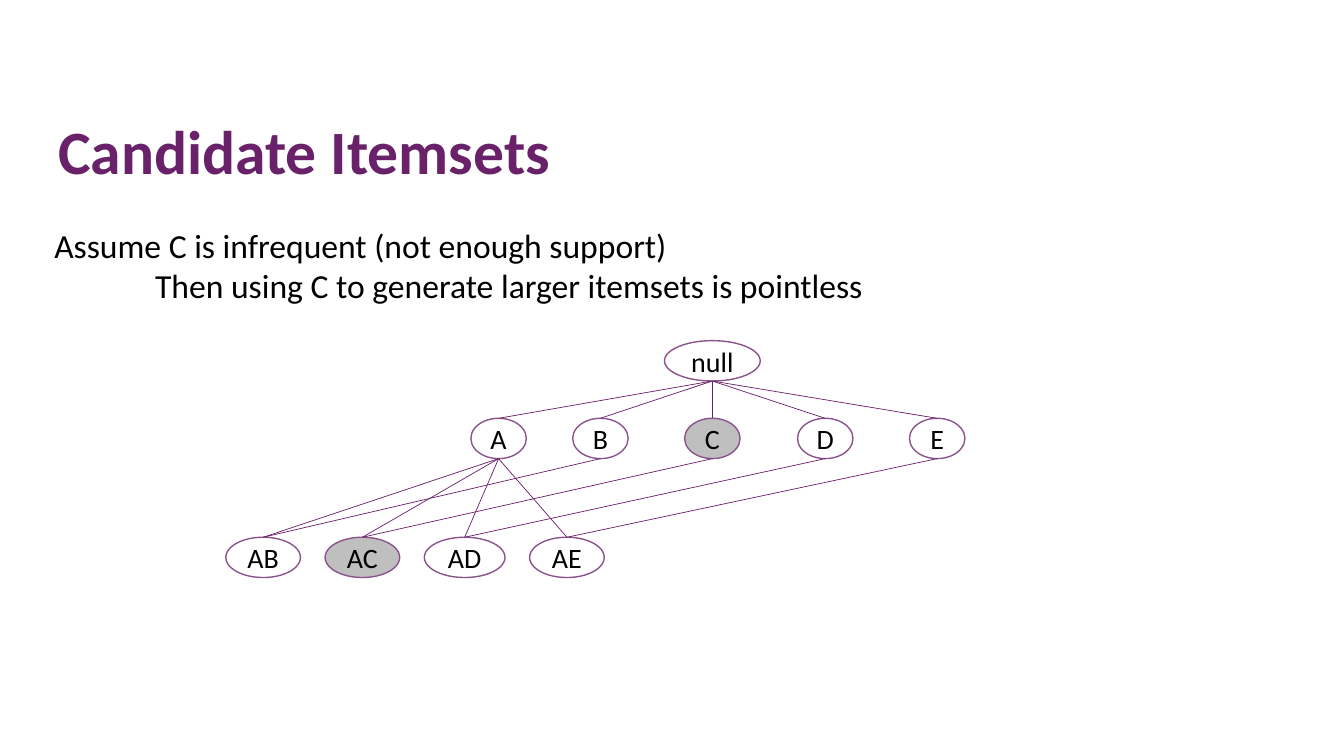
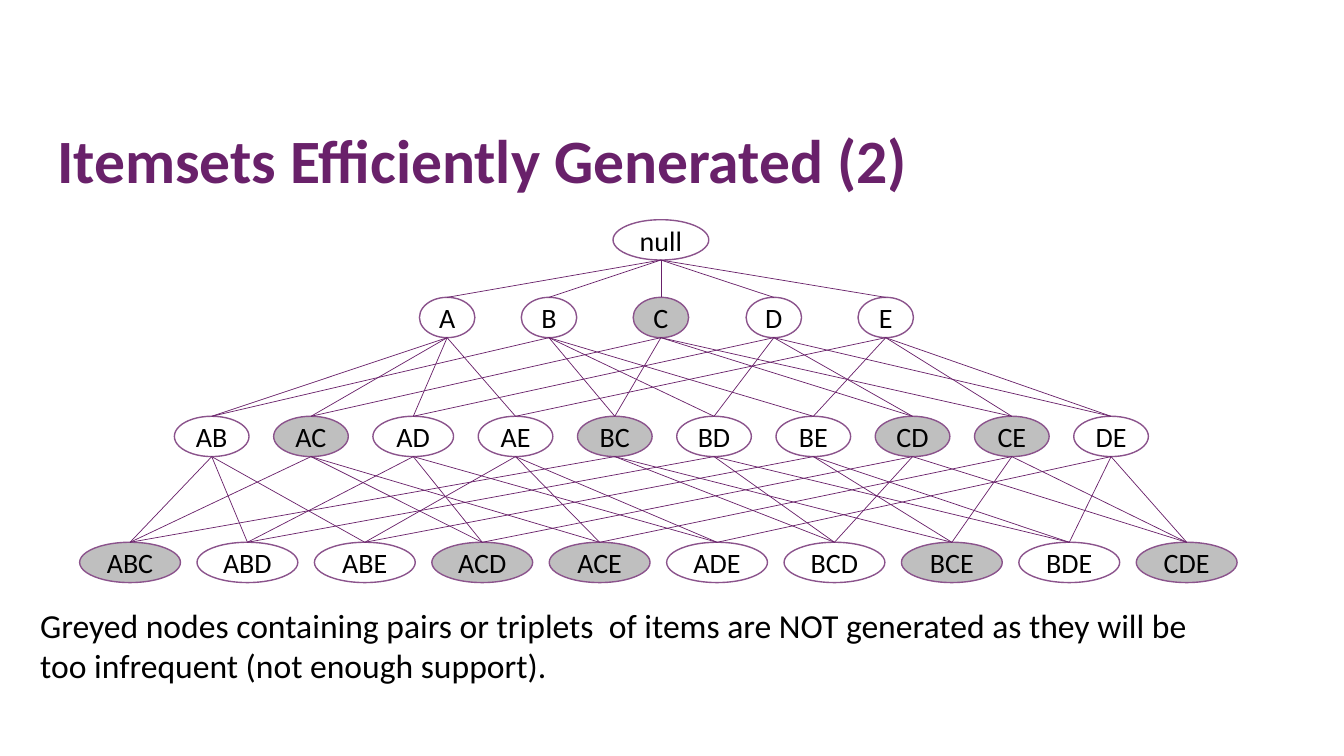
from itertools import combinations

from lxml.etree import SubElement
from pptx import Presentation
from pptx.dml.color import RGBColor
from pptx.enum.shapes import MSO_CONNECTOR, MSO_SHAPE
from pptx.enum.text import MSO_ANCHOR, PP_ALIGN
from pptx.oxml.ns import qn
from pptx.util import Inches, Pt

# Shared style
FONT = "Calibri"
PURPLE, OUTLINE, GREY, BLACK = "69216A", "8B538C", "BFBFBF", "000000"
NODE_HEIGHT = 0.4

# Content: itemsets by size
ITEMS = "ABCDE"
SINGLES, PAIRS, TRIPLES = (
    ["".join(group) for group in combinations(ITEMS, size)] for size in (1, 2, 3))
INFREQUENT = {"C", "AC", "BC", "CD", "CE", "ABC", "ACD", "ACE", "BCE", "CDE"}

# Lattice rows: top edge of each row, then left edges or the row's two ends
ROW_TOPS = {0: 2.18, 1: 2.95, 2: 4.13, 3: 5.38}
NODE_WIDTHS = {0: 0.95, 1: 0.55, 2: 0.74, 3: 1.0}
WIDER_NODES = {"AD": 0.8}
ROOT_LEFT = 6.08
SINGLE_LEFTS = [4.16, 5.17, 6.28, 7.4, 8.51]
PAIR_ENDS = (1.73, 11.39)
TRIPLE_ENDS = (0.79, 12.27)

SLIDES = [
    {
        "title": ("Candidate Itemsets", 0.48, 1.15),
        "sets": SINGLES + PAIRS[:4],
        "shift": (0.51, 1.2),
        "body": ["Assume C is infrequent (not enough support)",
                 "Then using C to generate larger itemsets is pointless"],
        "body_at": (0.44, 2.18, 8.37, 0.91),
        "indents": [0, 1],
    },
    {
        "title": ("Itemsets Efficiently Generated (2)", 0.47, 1.24),
        "sets": SINGLES + PAIRS + TRIPLES,
        "shift": (0, 0),
        "body": ["Greyed nodes containing pairs or triplets  of items are NOT "
                 "generated as they will be too infrequent (not enough support)."],
        "body_at": (0.3, 5.95, 11.82, 0.91),
        "indents": [0],
    },
]


def colour(value):
    return RGBColor.from_string(value)


def write(frame, lines, size=24, ink=BLACK, bold=False, align=PP_ALIGN.LEFT,
          spacing=None, indents=(0,)):
    """Fill a text frame, one paragraph a line."""
    for index, (line, indent) in enumerate(zip(lines, indents)):
        para = frame.paragraphs[0] if index == 0 else frame.add_paragraph()
        para.alignment = align
        if spacing:
            para.line_spacing = spacing
        if indent:
            para._p.get_or_add_pPr().set("marL", str(Inches(indent)))
        span = para.add_run()
        span.text = line
        span.font.name, span.font.size, span.font.bold = FONT, Pt(size), bold
        span.font.color.rgb = colour(ink)


def add_text(page, lines, area, **style):
    box = page.shapes.add_textbox(*(Inches(length) for length in area))
    box.text_frame.word_wrap = True
    write(box.text_frame, lines, **style)


def node_width(name):
    return WIDER_NODES.get(name, NODE_WIDTHS[len(name)])


def spread(names, ends):
    """Left edges of a row of nodes with equal gaps between two ends."""
    widths = [node_width(name) for name in names]
    gap = (ends[1] - ends[0] - sum(widths)) / (len(names) - 1)
    return [ends[0] + sum(widths[:index]) + gap * index
            for index in range(len(names))]


# The empty string stands for the root
LEFTS = {"": ROOT_LEFT,
         **dict(zip(SINGLES, SINGLE_LEFTS)),
         **dict(zip(PAIRS, spread(PAIRS, PAIR_ENDS))),
         **dict(zip(TRIPLES, spread(TRIPLES, TRIPLE_ENDS)))}


def add_node(page, name, shift):
    node = page.shapes.add_shape(
        MSO_SHAPE.OVAL, Inches(LEFTS[name] + shift[0]),
        Inches(ROW_TOPS[len(name)] + shift[1]),
        Inches(node_width(name)), Inches(NODE_HEIGHT))
    node.shadow.inherit = False
    if name in INFREQUENT:
        node.fill.solid()
        node.fill.fore_color.rgb = colour(GREY)
    else:
        node.fill.background()
    node.line.color.rgb = colour(OUTLINE)
    node.line.width = Pt(1)
    frame = node.text_frame
    frame.margin_left = frame.margin_right = frame.margin_top = frame.margin_bottom = 0
    frame.word_wrap = False
    frame.vertical_anchor = MSO_ANCHOR.MIDDLE
    write(frame, [name or "null"], size=20, align=PP_ALIGN.CENTER)
    return node


def add_edge(page, parent, child):
    edge = page.shapes.add_connector(
        MSO_CONNECTOR.STRAIGHT,
        parent.left + parent.width // 2, parent.top + parent.height,
        child.left + child.width // 2, child.top)
    edge.line.color.rgb = colour(PURPLE)
    edge.line.width = Pt(0.5)
    SubElement(edge._element.spPr, qn("a:effectLst"))


def add_lattice(page, names, shift):
    nodes = {name: add_node(page, name, shift) for name in ["", *names]}
    # Each itemset hangs from its subsets with one item fewer
    for name in names:
        for subset in combinations(name, len(name) - 1):
            add_edge(page, nodes["".join(subset)], nodes[name])


def main():
    deck = Presentation()
    deck.slide_width, deck.slide_height = Inches(13.33), Inches(7.5)
    for content in SLIDES:
        page = deck.slides.add_slide(deck.slide_layouts[6])
        title, left, top = content["title"]
        add_lattice(page, content["sets"], content["shift"])
        add_text(page, content["body"], content["body_at"],
                 indents=content["indents"])
        add_text(page, [title], (left, top, 11.5, 0.83),
                 size=44, ink=PURPLE, bold=True, spacing=0.9)
    deck.save("out.pptx")


if __name__ == "__main__":
    main()
